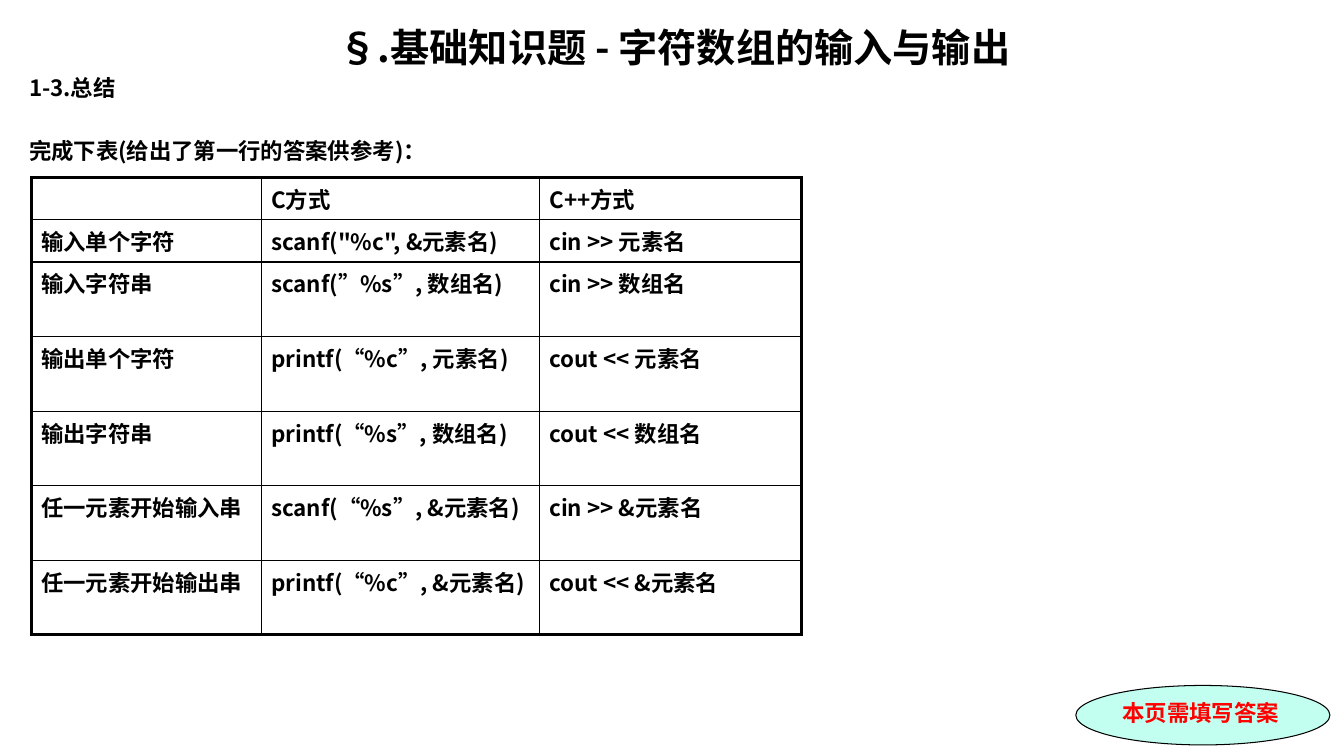
from dataclasses import dataclass
from lxml.etree import SubElement
from pptx import Presentation
from pptx.dml.color import RGBColor as RGB
from pptx.enum.shapes import MSO_SHAPE as SHAPE
from pptx.enum.text import MSO_ANCHOR as ANCHOR, PP_ALIGN as ALIGN
from pptx.oxml.ns import qn
from pptx.util import Inches, Pt


@dataclass(frozen=True)
class Theme:
    ink: RGB = RGB(0x00, 0x00, 0x00)
    paper: RGB = RGB(0xFF, 0xFF, 0xFF)
    mint: RGB = RGB(0xC2, 0xFF, 0xF0)
    red: RGB = RGB(0xFF, 0x00, 0x00)
    font: str = "Noto Sans CJK SC"
    badge_font: str = "Times New Roman"
    title: int = 28
    body: int = 16
    outer: float = 2.25
    inner: float = 1


theme = Theme()


def add_run(p, text, size=theme.body, color=theme.ink, font=theme.font):
    r = p.add_run()
    r.text = text
    r.font.size, r.font.bold, r.font.name = Pt(size), True, font
    r.font.color.rgb = color
    SubElement(r.font._element, qn("a:ea")).set("typeface", theme.font)


def add_border(cell, side, width):
    ln = SubElement(cell._tc.get_or_add_tcPr(), qn(f"a:ln{side}"), w=str(Pt(width)))
    fill = SubElement(ln, qn("a:solidFill"))
    SubElement(fill, qn("a:srgbClr"), val=str(theme.ink))


prs = Presentation()
prs.slide_width, prs.slide_height = Inches(13.33), Inches(7.5)
s = prs.slides.add_slide(prs.slide_layouts[6])

# Title and introduction
tf = s.shapes.add_textbox(Inches(0.19), Inches(0.18), Inches(13), Inches(7.09)).text_frame
tf.word_wrap = True
intro = [
    ("§.基础知识题 - 字符数组的输入与输出", theme.title, ALIGN.CENTER, 0),
    ("1-3.总结", theme.body, ALIGN.JUSTIFY, 3),
    ("完成下表(给出了第一行的答案供参考)：", theme.body, ALIGN.JUSTIFY, 25.5),
]
for i, (text, size, align, gap) in enumerate(intro):
    p = tf.add_paragraph() if i else tf.paragraphs[0]
    p.alignment, p.space_before = align, Pt(gap)
    add_run(p, text, size)

# Summary table
rows = [
    ("", "C方式", "C++方式"),
    ("输入单个字符", 'scanf("%c", &元素名)', "cin >> 元素名"),
    ("输入字符串", "scanf(”%s”, 数组名)", "cin >> 数组名"),
    ("输出单个字符", "printf(“%c”, 元素名)", "cout << 元素名"),
    ("输出字符串", "printf(“%s”, 数组名)", "cout << 数组名"),
    ("任一元素开始输入串", "scanf(“%s”, &元素名)", "cin >> &元素名"),
    ("任一元素开始输出串", "printf(“%c”, &元素名)", "cout << &元素名"),
]
widths = [2.28, 2.76, 2.6]
heights = [0.42] * 2 + [0.74] * 5
table = s.shapes.add_table(len(rows), len(widths), Inches(0.31), Inches(1.76),
                           Inches(sum(widths)), Inches(sum(heights))).table
table.first_row = table.horz_banding = False
for column, width in zip(table.columns, widths):
    column.width = Inches(width)
for y, (row, height) in enumerate(zip(rows, heights)):
    table.rows[y].height = Inches(height)
    for x, text in enumerate(row):
        cell = table.cell(y, x)
        edges = {"L": x == 0, "R": x == len(widths) - 1,
                 "T": y == 0, "B": y == len(rows) - 1}
        for side, is_outer in edges.items():
            add_border(cell, side, theme.outer if is_outer else theme.inner)
        cell.fill.solid()
        cell.fill.fore_color.rgb = theme.paper
        if text:
            add_run(cell.text_frame.paragraphs[0], text)
        else:
            cell.text_frame.paragraphs[0].font.size = Pt(theme.body)

# Answer reminder
badge = s.shapes.add_shape(SHAPE.OVAL, Inches(10.67), Inches(6.8), Inches(2.52), Inches(0.59))
badge.shadow.inherit = False
badge.fill.solid()
badge.fill.fore_color.rgb = theme.mint
badge.line.color.rgb = theme.ink
badge.line.width = Pt(0.75)
tf = badge.text_frame
tf.word_wrap = False
tf.vertical_anchor = ANCHOR.MIDDLE
tf.margin_right, tf.margin_bottom = Inches(0.14), Inches(0.11)
p = tf.paragraphs[0]
p.alignment = ALIGN.CENTER
add_run(p, "本页需填写答案", color=theme.red, font=theme.badge_font)

prs.save("out.pptx")
